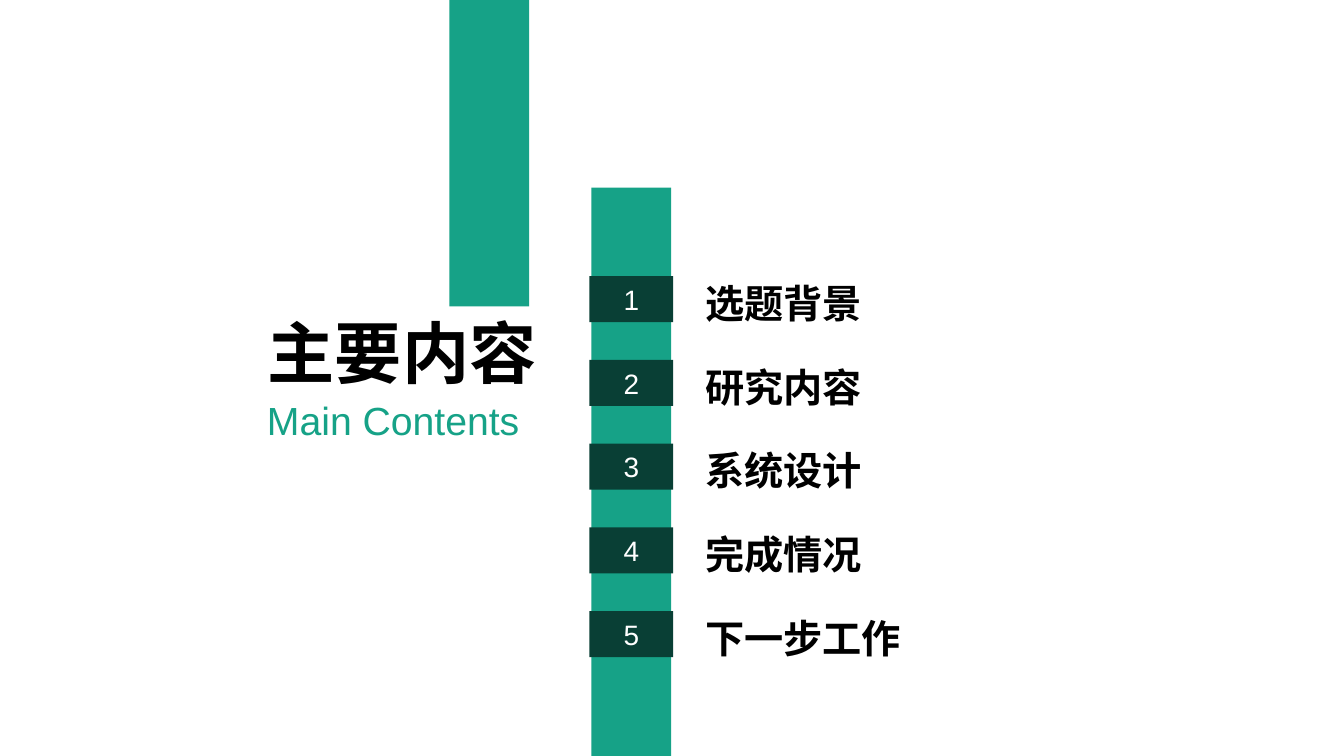
from lxml.etree import SubElement
from pptx import Presentation
from pptx.dml.color import RGBColor
from pptx.enum.shapes import MSO_SHAPE
from pptx.enum.text import MSO_ANCHOR, MSO_AUTO_SIZE, PP_ALIGN
from pptx.oxml.ns import qn
from pptx.util import Cm, Pt

GREEN = "16A287"
DARK_GREEN = "093F35"
BLACK = "000000"
WHITE = "FFFFFF"
LATIN_FONT = "Arial"
CHINESE_FONT = "Noto Sans CJK SC"

TOPICS = ["选题背景", "研究内容", "系统设计", "完成情况", "下一步工作"]
FIRST_TOPIC_TOP = 6.96
TOPIC_PITCH = 2.11

TITLE = {"name": CHINESE_FONT, "size": Pt(48), "bold": True}
SUBTITLE = {"name": LATIN_FONT, "size": Pt(28), "bold": False}
NUMBER = {"name": LATIN_FONT, "size": Pt(20), "bold": False}
TOPIC = {"name": CHINESE_FONT, "size": Pt(28), "bold": True}


def color(hex_value):
    return RGBColor.from_string(hex_value)


def write_text(shape, text, text_format, text_color, alignment):
    paragraph = shape.text_frame.paragraphs[0]
    paragraph.alignment = alignment
    run = paragraph.add_run()
    run.text = text
    for attribute, value in text_format.items():
        setattr(run.font, attribute, value)
    run.font.color.rgb = color(text_color)
    # Chinese characters take the East Asian typeface
    east_asian = SubElement(run.font._element, qn("a:ea"))
    east_asian.set("typeface", text_format["name"])


def add_block(slide, left, top, width, height, fill):
    shape = slide.shapes.add_shape(
        MSO_SHAPE.RECTANGLE, Cm(left), Cm(top), Cm(width), Cm(height))
    shape.shadow.inherit = False
    shape.fill.solid()
    shape.fill.fore_color.rgb = color(fill)
    shape.line.fill.background()
    return shape


def add_text(slide, left, top, width, height, text, text_format,
             text_color=BLACK, alignment=PP_ALIGN.LEFT):
    shape = slide.shapes.add_textbox(Cm(left), Cm(top), Cm(width), Cm(height))
    shape.text_frame.word_wrap = True
    shape.text_frame.auto_size = MSO_AUTO_SIZE.SHAPE_TO_FIT_TEXT
    write_text(shape, text, text_format, text_color, alignment)


def add_topic(slide, number, topic):
    top = FIRST_TOPIC_TOP + (number - 1) * TOPIC_PITCH
    block = add_block(slide, 14.86, top, 2.11, 1.16, DARK_GREEN)
    block.text_frame.vertical_anchor = MSO_ANCHOR.MIDDLE
    write_text(block, str(number), NUMBER, WHITE, PP_ALIGN.CENTER)
    add_text(slide, 17.53, top - 0.05, 8.31, 1.45, topic, TOPIC)


def main():
    presentation = Presentation()
    presentation.slide_width = Cm(33.88)
    presentation.slide_height = Cm(19.05)
    slide = presentation.slides.add_slide(presentation.slide_layouts[6])

    # Vertical bars
    add_block(slide, 11.33, 0, 2.01, 7.72, GREEN)
    add_block(slide, 14.91, 4.73, 2.01, 14.32, GREEN)

    # Heading
    add_text(slide, 6.2, 7.72, 7.87, 2.29, "主要内容", TITLE,
             alignment=PP_ALIGN.CENTER)
    add_text(slide, 4.7, 9.86, 8.64, 1.45, "Main Contents", SUBTITLE,
             GREEN, PP_ALIGN.RIGHT)

    # Numbered topics
    for number, topic in enumerate(TOPICS, start=1):
        add_topic(slide, number, topic)

    presentation.save("out.pptx")


if __name__ == "__main__":
    main()
